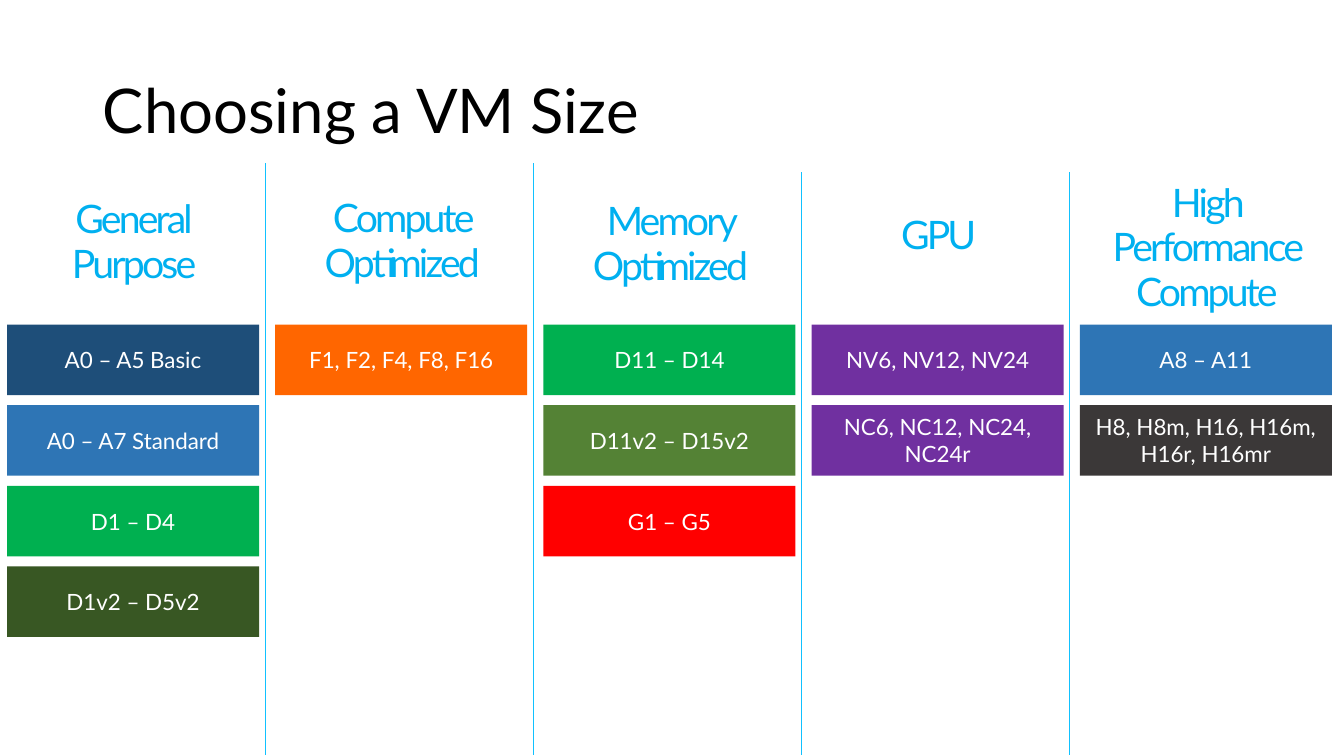
from dataclasses import dataclass
from lxml import etree
from pptx import Presentation
from pptx.dml.color import RGBColor
from pptx.enum.shapes import MSO_CONNECTOR, MSO_SHAPE
from pptx.enum.text import MSO_ANCHOR, MSO_AUTO_SIZE, PP_ALIGN
from pptx.oxml.ns import qn
from pptx.util import Inches, Pt

LEFT, CENTER = PP_ALIGN.LEFT, PP_ALIGN.CENTER
MIDDLE, BOTTOM = MSO_ANCHOR.MIDDLE, MSO_ANCHOR.BOTTOM
RECT, STRAIGHT = MSO_SHAPE.RECTANGLE, MSO_CONNECTOR.STRAIGHT
FIT, FIXED = MSO_AUTO_SIZE.SHAPE_TO_FIT_TEXT, MSO_AUTO_SIZE.NONE


@dataclass(frozen=True)
class Theme:
    font: str = "Lato"
    title: int = 44
    head: int = 28
    tile: int = 16
    black: str = "000000"
    white: str = "FFFFFF"
    sky: str = "00B0F0"
    rule: str = "11C1FF"
    navy: str = "1E4E79"
    blue: str = "2E75B5"
    green: str = "00B050"
    olive: str = "548235"
    moss: str = "385723"
    orange: str = "FF6600"
    red: str = "FF0000"
    purple: str = "7030A0"
    slate: str = "3B3838"


@dataclass(frozen=True)
class Grid:
    wide: float = 13.33
    high: float = 7.5
    left: float = 0.07
    top: float = 3.22
    col: float = 2.66
    row: float = 0.8
    tile_w: float = 2.5
    tile_h: float = 0.7
    head_w: float = 2.64
    line_h: float = 0.45

    def x(self, col):
        return self.left + col * self.col

    def y(self, row):
        return self.top + row * self.row


THEME = Theme()
GRID = Grid()

GROUPS = [
    ("General\nPurpose", 2, 2.9, [
        ("A0 – A5 Basic", THEME.navy),
        ("A0 – A7 Standard", THEME.blue),
        ("D1 – D4", THEME.green),
        ("D1v2 – D5v2", THEME.moss)]),
    ("Compute Optimized", 2, 2.89, [
        ("F1, F2, F4, F8, F16", THEME.orange)]),
    ("Memory Optimized", 2, 2.92, [
        ("D11 – D14", THEME.green),
        ("D11v2 – D15v2", THEME.olive),
        ("G1 – G5", THEME.red)]),
    ("GPU", 1, 2.61, [
        ("NV6, NV12, NV24", THEME.purple),
        ("NC6, NC12, NC24, NC24r", THEME.purple)]),
    ("High Performance Compute", 3, 3.18, [
        ("A8 – A11", THEME.blue),
        ("H8, H8m, H16, H16m, H16r, H16mr", THEME.slate)]),
]
RULE_TOPS = [1.62, 1.62, 1.71, 1.71]


def box(x, y, w, h):
    return [Inches(v) for v in (x, y, w, h)]


def write(shape, text, size, color, align=CENTER, anchor=MIDDLE,
          space=1.0, track=0, fit=FIXED):
    frame = shape.text_frame
    frame.word_wrap = True
    frame.auto_size = fit
    frame.vertical_anchor = anchor
    para = frame.paragraphs[0]
    para.text = text
    para.alignment = align
    para.line_spacing = space
    for run in para.runs:
        run.font.name = THEME.font
        run.font.size = Pt(size)
        run.font.color.rgb = RGBColor.from_string(color)
        if track:
            run.font._element.set("spc", str(track * 100))


def title(slide, text):
    shape = slide.shapes.title
    shape.left, shape.top, shape.width, shape.height = box(
        0.92, 0.4, 11.5, 1.45)
    write(shape, text, THEME.title, THEME.black, align=LEFT, space=0.9)


def head(slide, col, text, lines, foot):
    tall = 0.1 + lines * GRID.line_h
    shape = slide.shapes.add_textbox(
        *box(GRID.x(col) - 0.06, foot - tall, GRID.head_w, tall))
    shape.text_frame.margin_left = Inches(0.2)
    shape.text_frame.margin_right = Inches(0.2)
    write(shape, text, THEME.head, THEME.sky, anchor=BOTTOM,
          space=0.95, track=-2, fit=FIT)


def tile(slide, col, row, text, color):
    shape = slide.shapes.add_shape(
        RECT, *box(GRID.x(col), GRID.y(row), GRID.tile_w, GRID.tile_h))
    shape.shadow.inherit = False
    shape.fill.solid()
    shape.fill.fore_color.rgb = RGBColor.from_string(color)
    shape.line.fill.background()
    write(shape, text, THEME.tile, THEME.white)


def rule(slide, col, top):
    x = GRID.x(col) - 0.1
    line = slide.shapes.add_connector(
        STRAIGHT, *box(x, top, x, GRID.high - 0.01))
    line.line.color.rgb = RGBColor.from_string(THEME.rule)
    line.line.width = Pt(0.5)
    etree.SubElement(line._element.spPr, qn("a:effectLst"))


def main():
    deck = Presentation()
    deck.slide_width = Inches(GRID.wide)
    deck.slide_height = Inches(GRID.high)
    slide = deck.slides.add_slide(deck.slide_layouts[5])
    title(slide, "Choosing a VM Size")
    for col, top in enumerate(RULE_TOPS, 1):
        rule(slide, col, top)
    for col, (name, lines, foot, tiles) in enumerate(GROUPS):
        head(slide, col, name, lines, foot)
        for row, (text, color) in enumerate(tiles):
            tile(slide, col, row, text, color)
    deck.save("out.pptx")


main()
